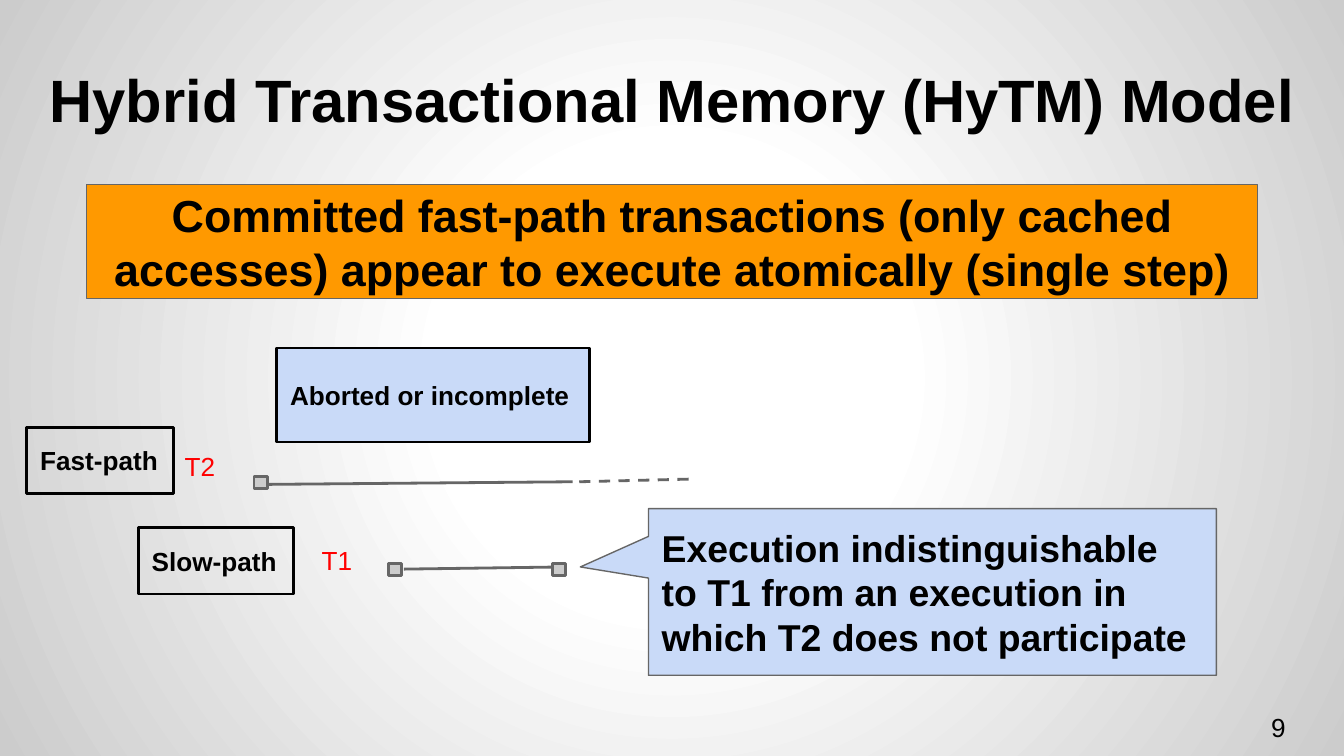
from dataclasses import dataclass

from lxml.etree import SubElement
from pptx import Presentation
from pptx.dml.color import RGBColor
from pptx.enum.dml import MSO_LINE
from pptx.enum.shapes import MSO_CONNECTOR, MSO_SHAPE
from pptx.enum.text import MSO_ANCHOR, PP_ALIGN
from pptx.oxml import parse_xml
from pptx.oxml.ns import nsdecls, qn
from pptx.slide import Slide
from pptx.util import Emu, Pt

PX = 4572
COLORS = {
    "black": "000000",
    "red": "FF0000",
    "orange": "FF9900",
    "blue": "C9DAF8",
    "gray": "CCCCCC",
    "edge": "666666",
    "white": "FFFFFF",
}


@dataclass(frozen=True)
class Text:
    words: str
    size: int = 14
    color: str = "black"
    bold: bool = True
    align: PP_ALIGN = PP_ALIGN.LEFT
    anchor: MSO_ANCHOR = MSO_ANCHOR.MIDDLE


@dataclass(frozen=True)
class Label:
    area: tuple[int, int, int, int]
    text: Text


@dataclass(frozen=True)
class Box:
    area: tuple[int, int, int, int]
    text: Text | None = None
    fill: str | None = None
    edge: str = "black"
    weight: float = 1.5
    kind: MSO_SHAPE = MSO_SHAPE.RECTANGLE
    adjustments: tuple[float, ...] = ()


@dataclass(frozen=True)
class Span:
    start: tuple[int, int]
    end: tuple[int, int]
    dashed: bool = False


def color(name: str) -> RGBColor:
    return RGBColor.from_string(COLORS[name])


def scale(lengths: tuple[int, ...]) -> list[Emu]:
    return [Emu(length * PX) for length in lengths]


def write(shape, text: Text) -> None:
    frame = shape.text_frame
    frame.text = text.words
    frame.word_wrap = True
    frame.vertical_anchor = text.anchor
    frame.margin_left = frame.margin_right = Emu(20 * PX)
    frame.margin_top = frame.margin_bottom = Emu(20 * PX)
    para = frame.paragraphs[0]
    para.alignment = text.align
    font = para.runs[0].font
    font.name = "Arial"
    font.size = Pt(text.size)
    font.bold = text.bold
    font.color.rgb = color(text.color)


def draw_label(page: Slide, label: Label) -> None:
    write(page.shapes.add_textbox(*scale(label.area)), label.text)


def draw_box(page: Slide, box: Box) -> None:
    shape = page.shapes.add_shape(box.kind, *scale(box.area))
    shape.shadow.inherit = False
    for index, value in enumerate(box.adjustments):
        shape.adjustments[index] = value
    if box.fill:
        shape.fill.solid()
        shape.fill.fore_color.rgb = color(box.fill)
    else:
        shape.fill.background()
    shape.line.color.rgb = color(box.edge)
    shape.line.width = Pt(box.weight)
    if box.text:
        write(shape, box.text)


def draw_span(page: Slide, span: Span) -> None:
    line = page.shapes.add_connector(MSO_CONNECTOR.STRAIGHT, *scale(span.start + span.end))
    line.line.color.rgb = color("edge")
    line.line.width = Pt(1.5)
    if span.dashed:
        line.line.dash_style = MSO_LINE.DASH
    SubElement(line._element.spPr, qn("a:effectLst"))


def paint_background(page: Slide) -> None:
    page.background.fill.gradient()
    gradient = next(page._element.iter(qn("a:gradFill")))
    stops = "".join(
        f'<a:gs pos="{percent * 1000}"><a:srgbClr val="{COLORS[name]}"/></a:gs>'
        for percent, name in ((0, "white"), (30, "white"), (100, "gray"))
    )
    radial = parse_xml(
        f'<a:gradFill {nsdecls("a")}><a:gsLst>{stops}</a:gsLst><a:path path="circle">'
        '<a:fillToRect l="50000" t="50000" r="50000" b="50000"/></a:path></a:gradFill>'
    )
    gradient.getparent().replace(gradient, radial)


def event(left: int, top: int) -> Box:
    return Box((left, top, 20, 18), fill="gray", edge="edge")


def transaction(words: str) -> Text:
    return Text(words, color="red", bold=False, anchor=MSO_ANCHOR.TOP)


LABELS = [
    Label(
        (51, 40, 1900, 180),
        Text("Hybrid Transactional Memory (HyTM) Model", 32,
             align=PP_ALIGN.CENTER, anchor=MSO_ANCHOR.BOTTOM),
    ),
    Label((1872, 1039, 120, 86), Text("9", bold=False)),
    Label((255, 650, 150, 80), transaction("T2")),
    Label((459, 790, 120, 80), transaction("T1")),
]
SPANS = [
    Span((386, 721), (852, 717)),
    Span((862, 717), (1026, 713), dashed=True),
    Span((601, 847), (820, 844)),
]
BOXES = [
    Box(
        (129, 275, 1742, 169),
        Text("Committed fast-path transactions (only cached accesses) "
             "appear to execute atomically (single step)", 24, align=PP_ALIGN.CENTER),
        "orange", "edge", 0.75,
    ),
    event(378, 709),
    event(578, 838),
    event(822, 838),
    Box((40, 636, 218, 98), Text("Fast-path")),
    Box((206, 785, 231, 99), Text("Slow-path")),
    Box((412, 518, 466, 140), Text("Aborted or incomplete"), "blue"),
    Box(
        (965, 757, 845, 248),
        Text("Execution indistinguishable to T1 from an execution "
             "in which T2 does not participate", 20),
        "blue", "edge", 0.75, MSO_SHAPE.ROUNDED_RECTANGULAR_CALLOUT, (-0.62, -0.15, 0),
    ),
]


def main() -> None:
    deck = Presentation()
    deck.slide_width, deck.slide_height = scale((2000, 1125))
    page = deck.slides.add_slide(deck.slide_layouts[6])
    paint_background(page)
    for label in LABELS:
        draw_label(page, label)
    for span in SPANS:
        draw_span(page, span)
    for box in BOXES:
        draw_box(page, box)
    deck.save("out.pptx")


if __name__ == "__main__":
    main()
